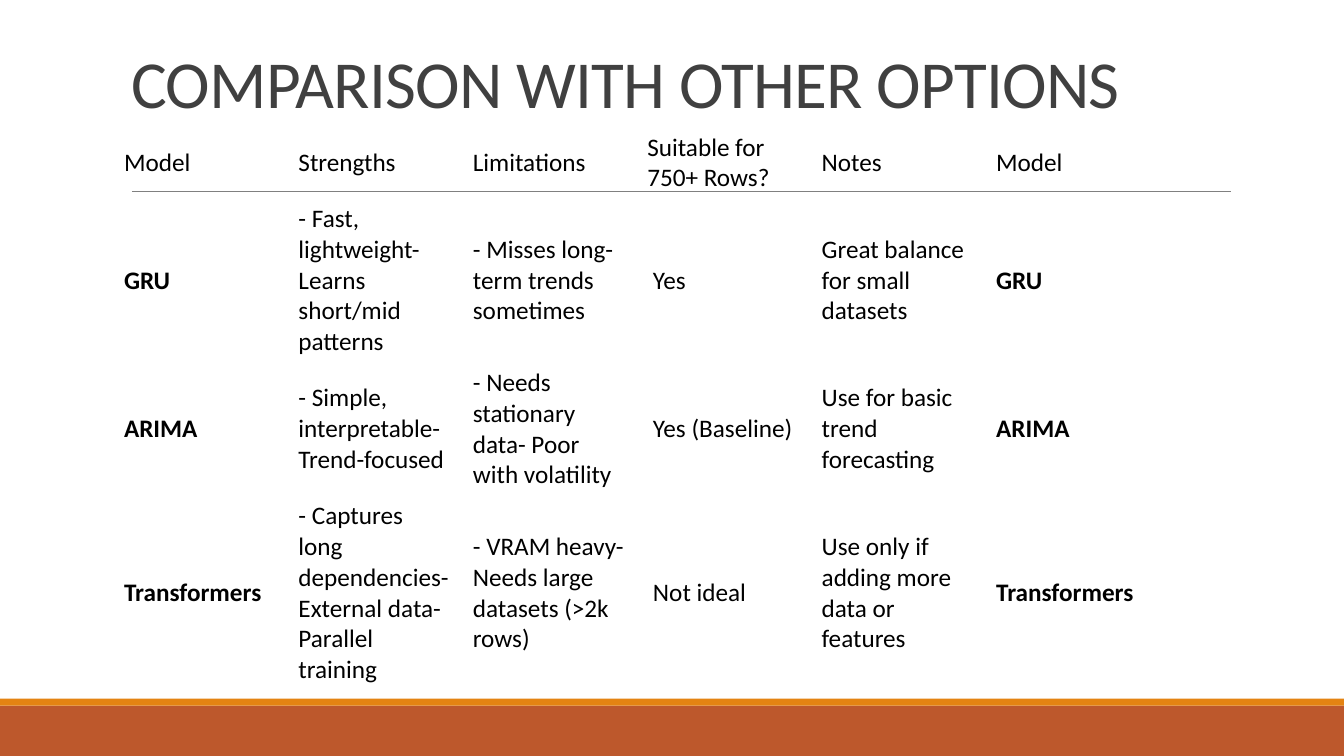
from dataclasses import dataclass

from lxml import etree
from pptx import Presentation
from pptx.dml.color import RGBColor
from pptx.enum.shapes import MSO_CONNECTOR, MSO_SHAPE
from pptx.enum.text import MSO_ANCHOR, MSO_AUTO_SIZE, PP_ALIGN
from pptx.oxml.ns import qn
from pptx.util import Pt

RECTANGLE = MSO_SHAPE.RECTANGLE
STRAIGHT = MSO_CONNECTOR.STRAIGHT
BOTTOM, MIDDLE = MSO_ANCHOR.BOTTOM, MSO_ANCHOR.MIDDLE
LEFT = PP_ALIGN.LEFT
NO_AUTOFIT = MSO_AUTO_SIZE.NONE
TITLE_ONLY = 5
NO_STYLE_NO_GRID = "{2D5ABB26-0587-4C30-8999-92F81FD0307C}"


@dataclass(frozen=True)
class Theme:
    font: str = "Calibri"
    title_size: int = 48
    table_size: int = 18
    title: str = "404040"
    text: str = "000000"
    rule: str = "808080"
    band: str = "BD582C"
    accent: str = "E48312"


THEME = Theme()


def format_font(font, color, **values):
    font.color.rgb = RGBColor.from_string(color)
    for name, value in {"name": THEME.font, **values}.items():
        setattr(font, name, value)


presentation = Presentation()
presentation.slide_width, presentation.slide_height = Pt(960), Pt(540)
slide = presentation.slides.add_slide(presentation.slide_layouts[TITLE_ONLY])
shapes = slide.shapes

# Footer bands
for top, height, color in ((504, 36, THEME.band), (499, 5, THEME.accent)):
    band = shapes.add_shape(RECTANGLE, 0, Pt(top), Pt(960), Pt(height))
    band.shadow.inherit = False
    band.fill.solid()
    band.fill.fore_color.rgb = RGBColor.from_string(color)
    band.line.fill.background()

# Rule under the header row
rule = shapes.add_connector(STRAIGHT, Pt(94.3), Pt(136.8), Pt(879), Pt(136.8))
rule.line.color.rgb = RGBColor.from_string(THEME.rule)
rule.line.width = Pt(0.5)
etree.SubElement(rule.element.spPr, qn("a:effectLst"))

# Title
title = shapes.title
title.left, title.top, title.width, title.height = Pt(86.4), Pt(22.3), Pt(792), Pt(68.4)
frame = title.text_frame
frame.auto_size = NO_AUTOFIT
frame.word_wrap = True
frame.vertical_anchor = BOTTOM
paragraph = frame.paragraphs[0]
paragraph.alignment = LEFT
paragraph.line_spacing = 0.85
run = paragraph.add_run()
run.text = "COMPARISON WITH OTHER OPTIONS"
format_font(run.font, THEME.title, size=Pt(THEME.title_size))
run.font._element.set("spc", "-50")

# Comparison table: the model name closes each row as well
HEADER = ("Model", "Strengths", "Limitations", "Suitable for 750+ Rows?", "Notes")
MODELS = (
    ("GRU", "- Fast, lightweight- Learns short/mid patterns",
     "- Misses long-term trends sometimes", " Yes",
     "Great balance for small datasets"),
    ("ARIMA", "- Simple, interpretable- Trend-focused",
     "- Needs stationary data- Poor with volatility", " Yes (Baseline)",
     "Use for basic trend forecasting"),
    ("Transformers", "- Captures long dependencies- External data- Parallel training",
     "- VRAM heavy- Needs large datasets (>2k rows)", " Not ideal",
     "Use only if adding more data or features"),
)
ROW_HEIGHTS = (51, 117, 95, 139)
COLUMNS = len(HEADER) + 1
COLUMN_WIDTH = 124.6

table = shapes.add_table(
    len(ROW_HEIGHTS), COLUMNS, Pt(81.4), Pt(90.7),
    Pt(COLUMN_WIDTH * COLUMNS), Pt(sum(ROW_HEIGHTS))).table
table.first_row = table.horz_banding = False
table._tbl.tblPr.find(qn("a:tableStyleId")).text = NO_STYLE_NO_GRID
for column in table.columns:
    column.width = Pt(COLUMN_WIDTH)

for row_index, values in enumerate((HEADER, *MODELS)):
    table.rows[row_index].height = Pt(ROW_HEIGHTS[row_index])
    for column_index, value in enumerate((*values, values[0])):
        cell = table.cell(row_index, column_index)
        cell.fill.background()
        cell.vertical_anchor = MIDDLE
        run = cell.text_frame.paragraphs[0].add_run()
        run.text = value
        is_model_name = row_index > 0 and column_index in (0, COLUMNS - 1)
        format_font(run.font, THEME.text, size=Pt(THEME.table_size), bold=is_model_name)

presentation.save("out.pptx")
